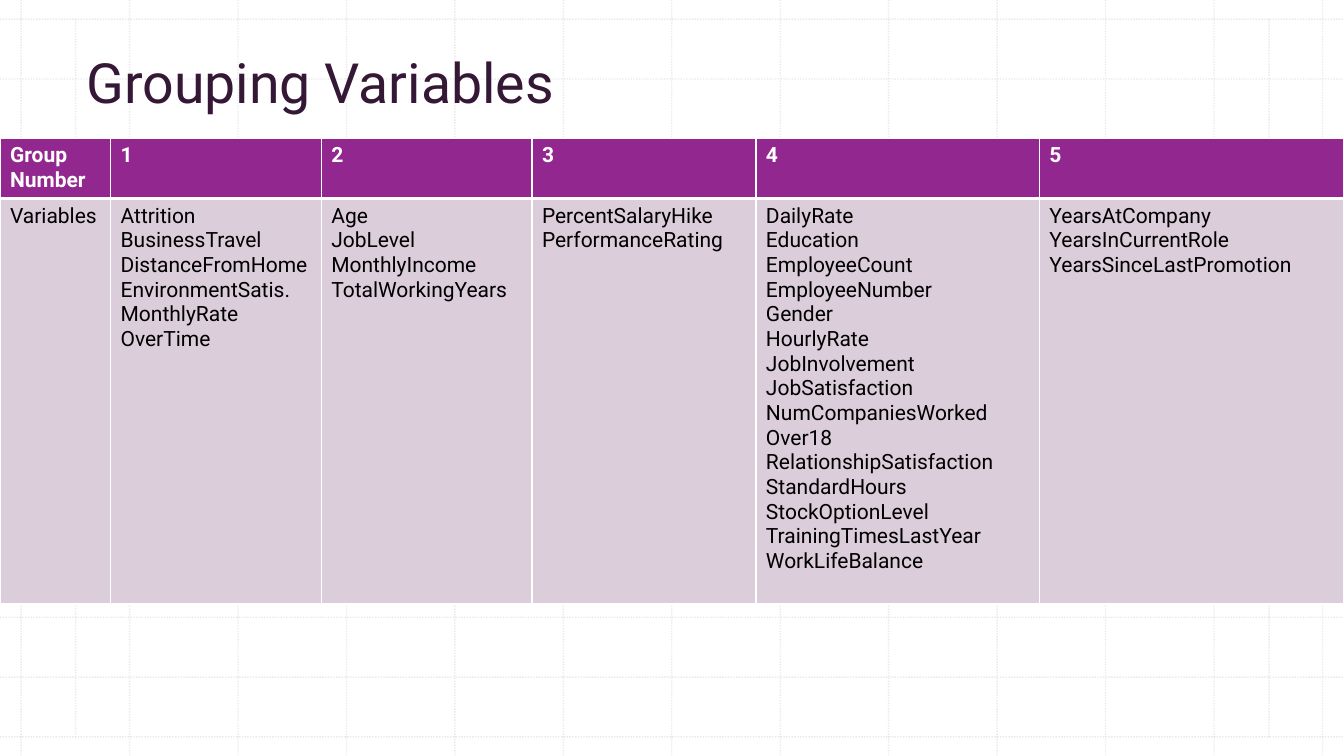
import pptx
import pptx.dml.color
import pptx.enum.dml
import pptx.enum.shapes
import pptx.enum.text
import pptx.oxml
import pptx.oxml.ns
import pptx.util

Pt = pptx.util.Pt
WIDE, HIGH = 960, 540
FONT = "Roboto"
WHITE, BLACK, GREY = "FFFFFF", "000000", "BCBCBC"
PURPLE, LILAC, PLUM = "92278F", "DCCDDB", "351835"

LEFT, STEP_X = 15.1, 77.46
TOP, STEP_Y = 13.7, 42.72
STEPS = 12
MARGINS = (54, 906.5)

COLS = (79, 150.5, 150.5, 160, 202.5, 217.5)
ROWS = (42, 289)
GROUPS = {
    "Group Number": "Variables",
    "1": "Attrition BusinessTravel DistanceFromHome EnvironmentSatis. "
         "MonthlyRate OverTime",
    "2": "Age JobLevel MonthlyIncome TotalWorkingYears",
    "3": "PercentSalaryHike PerformanceRating",
    "4": "DailyRate Education EmployeeCount EmployeeNumber Gender HourlyRate "
         "JobInvolvement JobSatisfaction NumCompaniesWorked Over18 "
         "RelationshipSatisfaction StandardHours StockOptionLevel "
         "TrainingTimesLastYear WorkLifeBalance",
    "5": "YearsAtCompany YearsInCurrentRole YearsSinceLastPromotion",
}


def tint(target, code):
    """Colour a fill or a font with a hex string."""
    if hasattr(target, "solid"):
        target.solid()
        color = target.fore_color
    else:
        color = target.color
    color.rgb = pptx.dml.color.RGBColor.from_string(code)


def put(target, values):
    """Set attributes from a dict of format values."""
    for name, value in values.items():
        setattr(target, name, value)


def node(tag, inner=""):
    """Build a DrawingML element from its opening tag and content."""
    space = pptx.oxml.ns.nsdecls("a")
    name = tag.split()[0]
    return pptx.oxml.parse_xml(f"<a:{tag} {space}>{inner}</a:{name}>")


def write(frame, lines, code, style):
    """Write one paragraph per line with the same font."""
    for i, line in enumerate(lines):
        para = frame.add_paragraph() if i else frame.paragraphs[0]
        run = para.add_run()
        run.text = line
        put(run.font, {"name": FONT, **style})
        tint(run.font, code)


def rule(slide, x1, y1, x2, y2):
    """Draw a faint dotted grid line."""
    kind = pptx.enum.shapes.MSO_CONNECTOR.STRAIGHT
    link = slide.shapes.add_connector(kind, Pt(x1), Pt(y1), Pt(x2), Pt(y2))
    tint(link.line.fill, GREY)
    dash = pptx.enum.dml.MSO_LINE.ROUND_DOT
    put(link.line, {"width": Pt(1), "dash_style": dash})
    color = link.line._ln.find(".//" + pptx.oxml.ns.qn("a:srgbClr"))
    color.append(node('alpha val="30000"'))
    link._element.spPr.append(node("effectLst"))


def grid(slide):
    """Draw the background grid and its two inner margins."""
    for i in range(STEPS + 1):
        x, y = LEFT + i * STEP_X, TOP + i * STEP_Y
        rule(slide, x, 0, x, HIGH)
        rule(slide, 0, y, WIDE, y)
    for x in MARGINS:
        rule(slide, x, TOP, x, TOP + STEPS * STEP_Y)


def title(slide, text):
    """Add the slide title."""
    box = slide.shapes.add_textbox(Pt(54.7), Pt(29.5), Pt(813), Pt(56.2))
    anchor = pptx.enum.text.MSO_ANCHOR.BOTTOM
    put(box.text_frame, {"word_wrap": True, "vertical_anchor": anchor})
    write(box.text_frame, [text], PLUM, {"size": Pt(39.6)})


def edge(cell, sides):
    """Give a cell white borders of the given widths."""
    props = cell._tc.get_or_add_tcPr()
    for i, (side, width) in enumerate(sides.items()):
        fill = f'<a:solidFill><a:srgbClr val="{WHITE}"/></a:solidFill>'
        props.insert(i, node(f'ln{side} w="{Pt(width)}"', fill))


def table(slide):
    """Add the table of variable groups."""
    frame = slide.shapes.add_table(len(ROWS), len(COLS), Pt(0), Pt(98.6),
                                   Pt(WIDE), Pt(sum(ROWS)))
    grid = frame.table
    put(grid, {"first_row": False, "horz_banding": False})
    for col, width in zip(grid.columns, COLS):
        col.width = Pt(width)
    for row, height in zip(grid.rows, ROWS):
        row.height = Pt(height)
    for c, (head, names) in enumerate(GROUPS.items()):
        looks = (([head], WHITE, PURPLE, True, {"T": 1, "B": 3}),
                 (names.split(), BLACK, LILAC, False, {"T": 3, "B": 1}))
        for r, (lines, ink, back, bold, ends) in enumerate(looks):
            cell = grid.cell(r, c)
            tint(cell.fill, back)
            write(cell.text_frame, lines, ink, {"size": Pt(15), "bold": bold})
            edge(cell, {"L": 1, "R": 1, **ends})


def main():
    """Build the slide and save it."""
    deck = pptx.Presentation()
    put(deck, {"slide_width": Pt(WIDE), "slide_height": Pt(HIGH)})
    slide = deck.slides.add_slide(deck.slide_layouts[6])
    grid(slide)
    title(slide, "Grouping Variables")
    table(slide)
    deck.save("out.pptx")


main()
